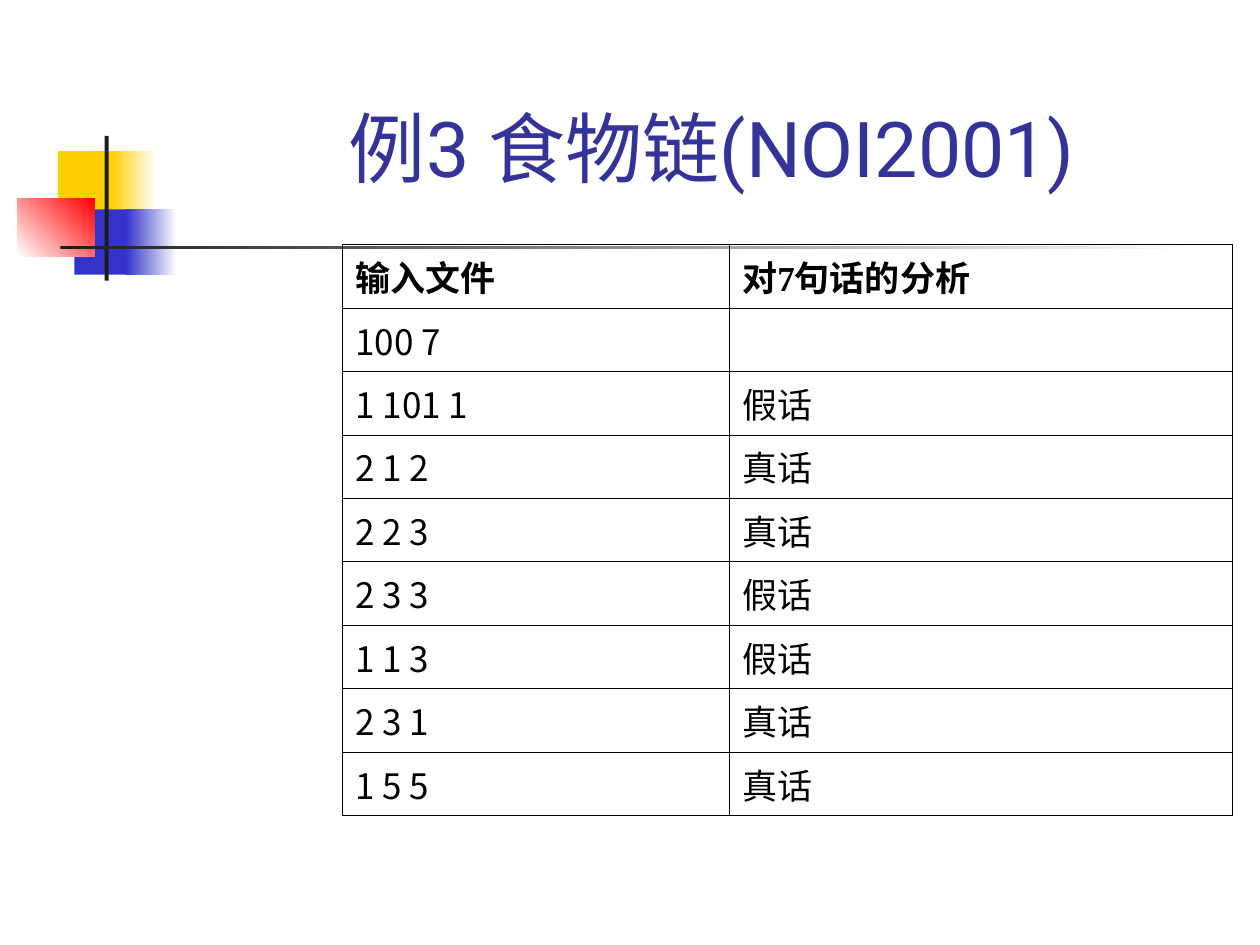
import pptx
import pptx.dml.color
import pptx.enum.shapes
import pptx.enum.text
import pptx.oxml
import pptx.oxml.ns
import pptx.util
from pptx.util import Cm

TITLE = "例3 食物链(NOI2001)"
ROWS = [
    ("输入文件", "对7句话的分析"),
    ("100 7", ""),
    ("1 101 1", "假话"),
    ("2 1 2", "真话"),
    ("2 2 3", "真话"),
    ("2 3 3", "假话"),
    ("1 1 3", "假话"),
    ("2 3 1", "真话"),
    ("1 5 5", "真话"),
]
COLORS = {
    "yellow": "FFCF01",
    "blue": "3333CC",
    "red": "FF0000",
    "dark": "1C1C1C",
    "white": "FFFFFF",
    "title": "333399",
    "text": "000000",
}
SERIF, SANS, TITLE_FONT = "Times New Roman", "Noto Sans CJK SC", "Roboto"
DECORATION = [
    ((1.17, 3.05, 1.22, 1.32), ["yellow"], 0),
    ((2.24, 3.05, 0.91, 1.32), ["yellow", "white"], 0),
    ((1.5, 4.22, 1.17, 1.32), ["blue"], 0),
    ((2.54, 4.22, 1.02, 1.32), ["blue", "white"], 0),
    ((0.36, 4.01, 1.55, 1.17), ["white", "red"], 45),
    ((2.11, 2.74, 0.08, 2.92), ["dark"], 0),
    ((1.22, 4.95, 22.86, 0.08), ["dark", "white"], 0),
]
COLUMN_WIDTHS = (7.8, 10.13)
ROW_HEIGHT = 1.1
HANGING = Cm(0.97)


def rgb(name):
    return pptx.dml.color.RGBColor.from_string(COLORS[name])


def format_runs(paragraph, size, font_name, color, bold=False):
    for run in paragraph.runs:
        run.font.size = pptx.util.Pt(size)
        run.font.name = font_name
        run.font.bold = bold
        run.font.color.rgb = rgb(color)
        properties = run.font._element
        east_asian = properties.makeelement(pptx.oxml.ns.qn("a:ea"), {"typeface": SANS})
        properties.find(pptx.oxml.ns.qn("a:latin")).addnext(east_asian)


def add_decoration(slide, box, colors, angle):
    shape = slide.shapes.add_shape(
        pptx.enum.shapes.MSO_SHAPE.RECTANGLE, *(Cm(length) for length in box)
    )
    shape.shadow.inherit = False
    shape.line.fill.background()
    if len(colors) == 1:
        shape.fill.solid()
        shape.fill.fore_color.rgb = rgb(colors[0])
    else:
        shape.fill.gradient()
        shape.fill.gradient_angle = angle
        for stop, color in zip(shape.fill.gradient_stops, colors):
            stop.color.rgb = rgb(color)


def add_borders(cell):
    properties = cell._tc.get_or_add_tcPr()
    for index, side in enumerate(("lnL", "lnR", "lnT", "lnB")):
        border = pptx.oxml.parse_xml(
            f'<a:{side} {pptx.oxml.ns.nsdecls("a")} w="{pptx.util.Pt(0.45)}">'
            f'<a:solidFill><a:srgbClr val="{COLORS["text"]}"/></a:solidFill></a:{side}>'
        )
        properties.insert(index, border)


def format_title(title):
    title.left, title.top, title.width, title.height = (
        Cm(length) for length in (6.78, 0.64, 17.78, 3.38)
    )
    frame = title.text_frame
    frame.text = TITLE
    frame.auto_size = pptx.enum.text.MSO_AUTO_SIZE.NONE
    frame.vertical_anchor = pptx.enum.text.MSO_ANCHOR.BOTTOM
    paragraph = frame.paragraphs[0]
    paragraph.alignment = pptx.enum.text.PP_ALIGN.LEFT
    format_runs(paragraph, 44, TITLE_FONT, "title")


def add_analysis_table(slide):
    table = slide.shapes.add_table(
        len(ROWS), len(COLUMN_WIDTHS), Cm(6.91), Cm(4.93),
        Cm(sum(COLUMN_WIDTHS)), Cm(ROW_HEIGHT * len(ROWS)),
    ).table
    table.first_row = table.horz_banding = False
    for column, width in zip(table.columns, COLUMN_WIDTHS):
        column.width = Cm(width)
    for row_index, row in enumerate(ROWS):
        for column_index, text in enumerate(row):
            cell = table.cell(row_index, column_index)
            cell.fill.background()
            add_borders(cell)
            cell.text_frame.text = text
            paragraph = cell.text_frame.paragraphs[0]
            paragraph_properties = paragraph._p.get_or_add_pPr()
            paragraph_properties.set("marL", str(HANGING))
            paragraph_properties.set("indent", str(-HANGING))
            header = row_index == 0
            font_name = SERIF if header or column_index == 1 else SANS
            format_runs(paragraph, 20, font_name, "text", header)


def main():
    presentation = pptx.Presentation()
    presentation.slide_width = Cm(25.4)
    presentation.slide_height = Cm(19.05)
    slide = presentation.slides.add_slide(presentation.slide_layouts[5])
    for box, colors, angle in DECORATION:
        add_decoration(slide, box, colors, angle)
    format_title(slide.shapes.title)
    add_analysis_table(slide)
    presentation.save("out.pptx")


if __name__ == "__main__":
    main()
